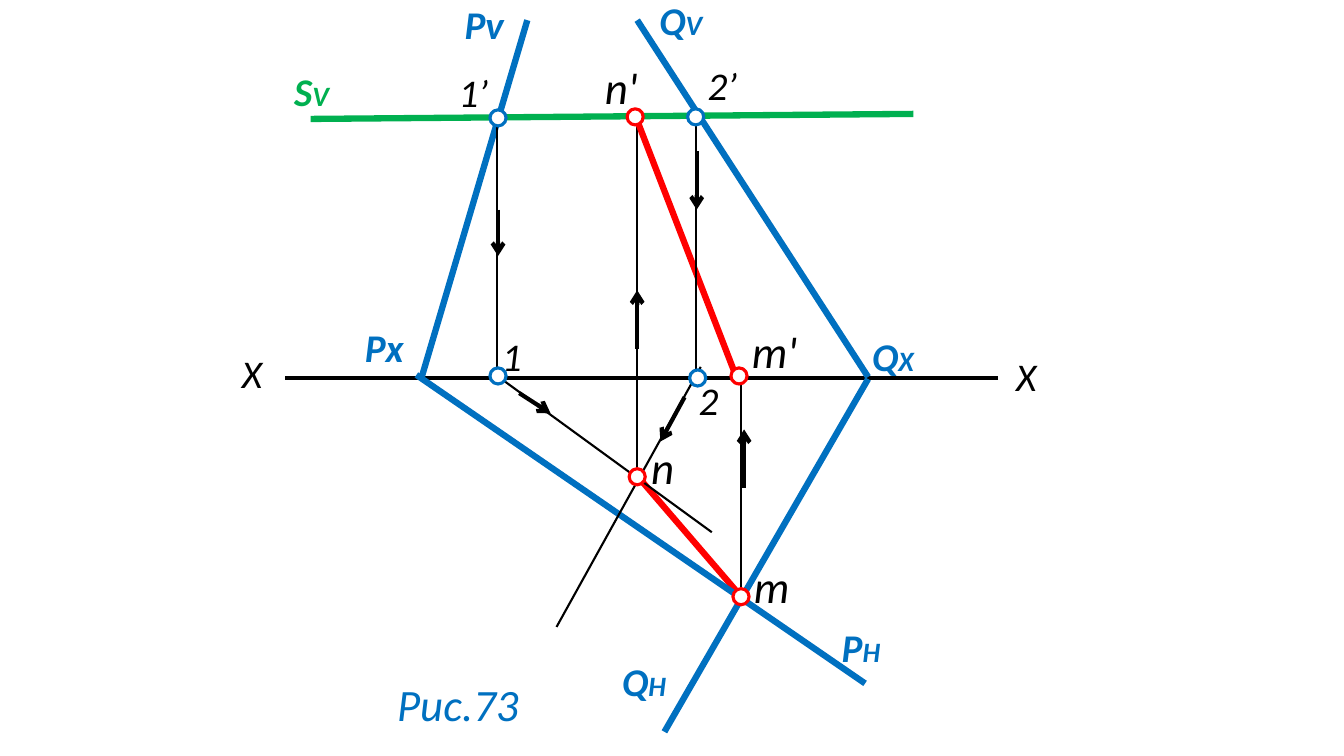
"""Draw the intersection line of planes P and Q in two projections."""
from lxml.etree import SubElement
from pptx import Presentation
from pptx.dml.color import RGBColor
from pptx.enum.shapes import MSO_CONNECTOR as Connector, MSO_SHAPE as Shape
from pptx.enum.text import MSO_AUTO_SIZE as AutoSize
from pptx.oxml.ns import qn
from pptx.util import Pt

PX = 9144
BLACK, BLUE, RED, GREEN, WHITE = "000000", "0070C0", "FF0000", "00B050", "FFFFFF"
color = RGBColor.from_string

deck = Presentation()
deck.slide_width, deck.slide_height = 1333 * PX, 750 * PX
page = deck.slides.add_slide(deck.slide_layouts[6])


def add_label(text, left, top, width, height=57, size=28, ink=BLACK, bold=False, index=""):
    box = page.shapes.add_textbox(left * PX, top * PX, width * PX, height * PX)
    box.text_frame.word_wrap = True
    box.text_frame.auto_size = AutoSize.SHAPE_TO_FIT_TEXT
    para = box.text_frame.paragraphs[0]
    for part, points in ((text, size), (index, 20)):
        if part:
            span = para.add_run()
            span.text = part
            span.font.name, span.font.size = "Calibri", Pt(points)
            span.font.bold, span.font.italic = bold, True
            span.font.color.rgb = color(ink)


def add_line(x1, y1, x2, y2, ink=BLACK, weight=1.5, arrow=False):
    line = page.shapes.add_connector(Connector.STRAIGHT, x1 * PX, y1 * PX, x2 * PX, y2 * PX)
    line.line.color.rgb = color(ink)
    line.line.width = Pt(weight)
    if arrow:
        SubElement(line.line._get_or_add_ln(), qn("a:tailEnd"), type="arrow")
    SubElement(line._element.spPr, qn("a:effectLst"))


lines = [
    (632, 113, 632, 475, BLACK, 1.5),
    (735, 374, 735, 594, BLACK, 1.5),
    (730, 586, 638, 479, RED, 4.5),
    (990, 375, 283, 375, BLACK, 3),
    (523, 20, 418, 375, BLUE, 4.5),
    (858, 678, 413, 372, BLUE, 4.5),
    (861, 374, 632, 20, BLUE, 4.5),
    (861, 376, 659, 726, BLUE, 4.5),
    (733, 381, 631, 117, RED, 4.5),
    (906, 113, 308, 118, GREEN, 4.5),
    (690, 118, 690, 379, BLACK, 1.5),
    (493, 118, 493, 374, BLACK, 1.5),
    (496, 375, 706, 528, BLACK, 1.5),
    (695, 364, 552, 622, BLACK, 1.5),
]
for line in lines:
    add_line(*line)

points = [
    (727, 584, RED), (725, 365, RED), (624, 465, RED), (622, 108, RED),
    (684, 367, BLUE), (682, 108, BLUE), (486, 109, BLUE), (486, 365, BLUE),
]
for left, top, ink in points:
    point = page.shapes.add_shape(Shape.OVAL, left * PX, top * PX, 16 * PX, 16 * PX)
    point.shadow.inherit = False
    point.fill.solid()
    point.fill.fore_color.rgb = color(WHITE)
    point.line.color.rgb = color(ink)
    point.line.width = Pt(2.25)

traces = [
    ("Q", "H", 607, 647, 79, BLUE), ("Q", "V", 644, -9, 70, BLUE),
    ("P", "H", 825, 613, 89, BLUE), ("Pv", "", 451, -5, 89, BLUE),
    ("Q", "X", 855, 325, 70, BLUE), ("Px", "", 352, 316, 89, BLUE),
    ("S", "V", 282, 62, 70, GREEN),
]
for name, index, left, top, width, ink in traces:
    add_label(name, left, top, width, ink=ink, bold=True, index=index)

small_labels = [
    ("X", 998, 345, 89), ("X", 230, 342, 66), ("1’", 445, 63, 58),
    ("1", 488, 325, 43), ("2", 683, 368, 43), ("2’", 692, 56, 52),
]
for label in small_labels:
    add_label(*label)

large_labels = [
    ("n", 636, 431, 43), ("n'", 590, 54, 69),
    ("m'", 736, 316, 69), ("m", 738, 549, 43),
]
for label in large_labels:
    add_label(*label, height=64, size=32)
add_label("Рис.73", 384, 666, 171, height=64, size=32, ink=BLUE)

arrows = [
    (679, 394, 655, 438), (515, 390, 546, 410), (691, 150, 691, 208),
    (494, 208, 494, 254), (632, 346, 632, 288), (738, 484, 738, 426),
]
for arrow in arrows:
    add_line(*arrow, weight=3, arrow=True)

deck.save("out.pptx")
